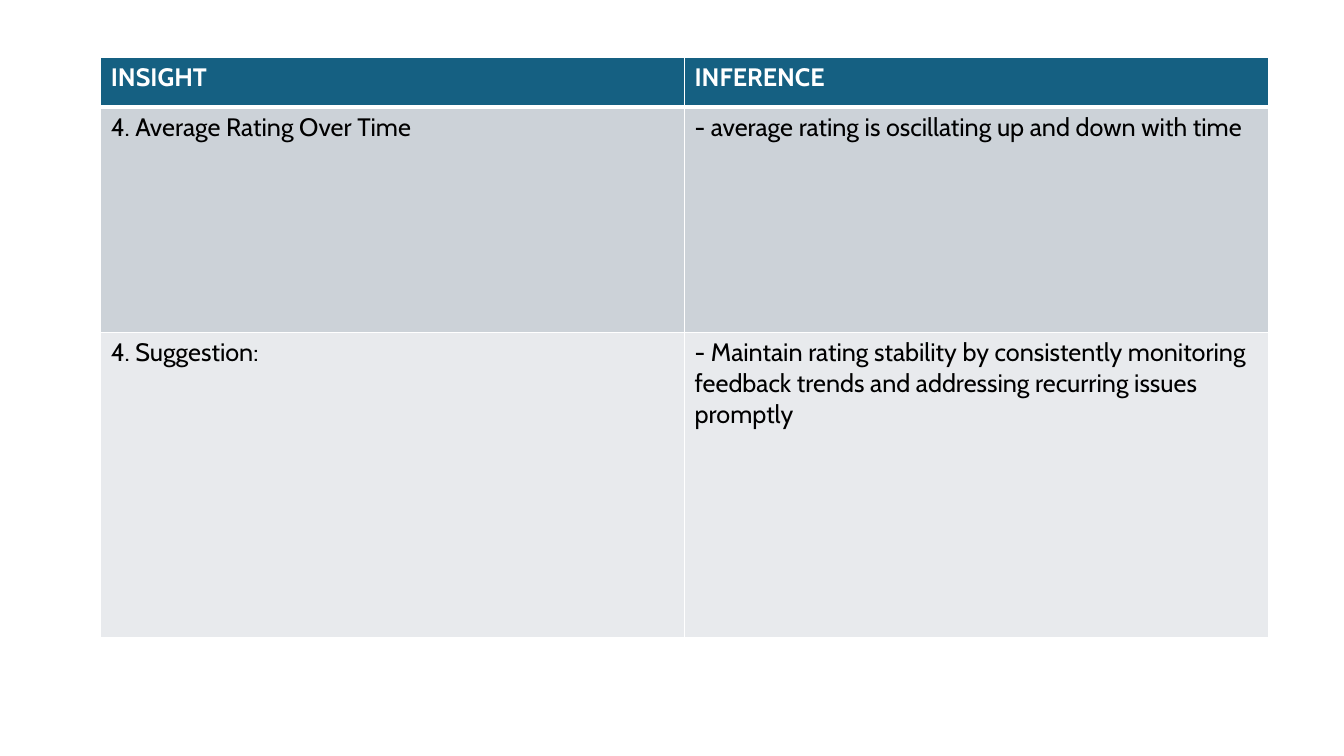
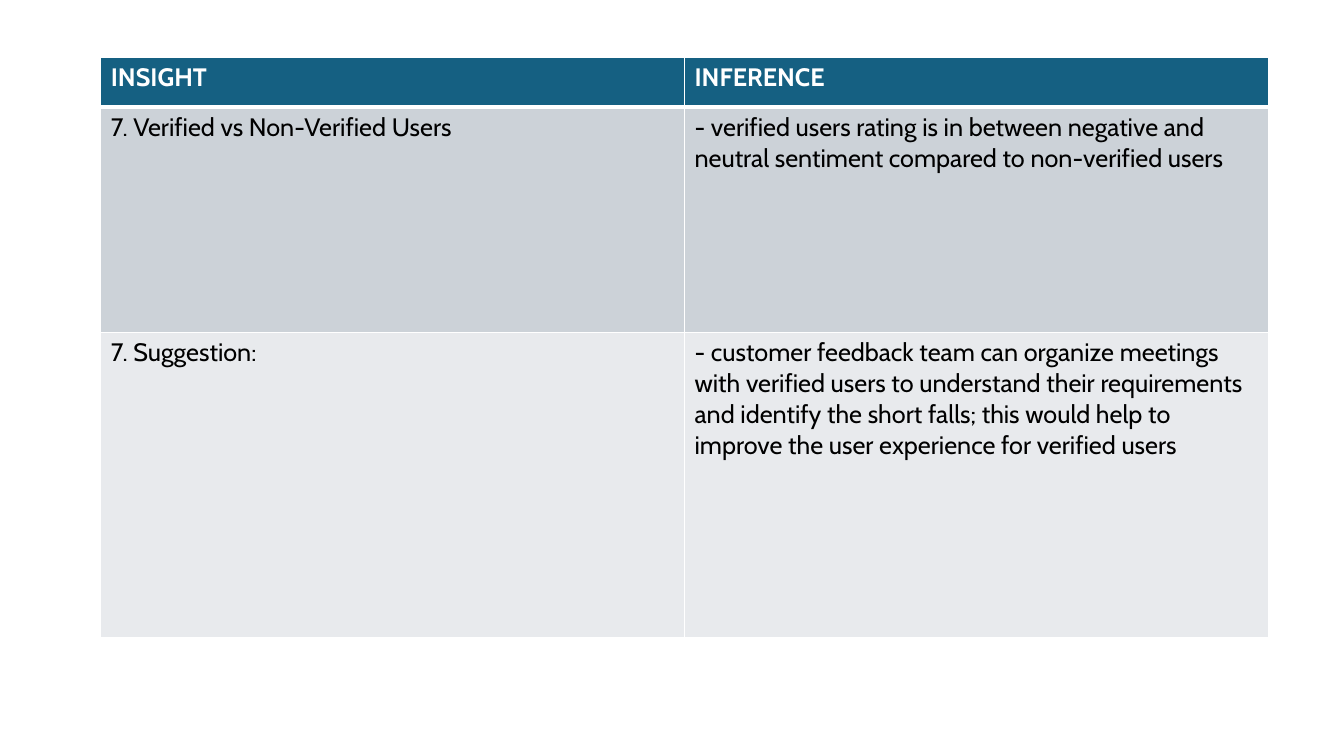
"""Build two insight tables with a shared style."""
from dataclasses import dataclass

import pptx
import pptx.dml.color
import pptx.oxml
import pptx.oxml.ns
import pptx.slide
import pptx.table
import pptx.util

Pt = pptx.util.Pt


@dataclass(frozen=True)
class Theme:
    font: str = "Cabin"
    size: float = 18
    white: str = "FFFFFF"
    black: str = "000000"
    head: str = "156082"
    dark: str = "CCD2D8"
    light: str = "E8EAED"
    thin: float = 1
    thick: float = 3


@dataclass(frozen=True)
class Row:
    height: float
    fill: str
    color: str
    top: float
    base: float
    bold: bool = False


@dataclass(frozen=True)
class Page:
    topic: str
    finding: str
    label: str
    advice: str


THEME = Theme()
LEFT, TOP, WIDTH = 72, 41, 417
HEADS = ("INSIGHT", "INFERENCE")
ROWS = (
    Row(35.5, THEME.head, THEME.white, THEME.thin, THEME.thick, True),
    Row(161, THEME.dark, THEME.black, THEME.thick, THEME.thin),
    Row(218, THEME.light, THEME.black, THEME.thin, THEME.thin),
)
PAGES = (
    Page(
        "4. Average Rating Over Time",
        "- average rating is oscillating up and down with time",
        "4. Suggestion:",
        "- Maintain rating stability by consistently monitoring feedback "
        "trends and addressing recurring issues promptly",
    ),
    Page(
        "7. Verified vs Non-Verified Users",
        "- verified users rating is in between negative and neutral "
        "sentiment compared to non-verified users",
        "7. Suggestion:",
        "- customer feedback team can organize meetings with verified users "
        "to understand their requirements and identify the short falls; this "
        "would help to improve the user experience for verified users",
    ),
)


def paint(code: str) -> pptx.dml.color.RGBColor:
    return pptx.dml.color.RGBColor.from_string(code)


def write(cell: pptx.table._Cell, text: str, *, color: str, bold: bool) -> None:
    run = cell.text_frame.paragraphs[0].add_run()
    run.text = text
    font = run.font
    font.name, font.size, font.bold = THEME.font, Pt(THEME.size), bold
    font.color.rgb = paint(color)


def border(cell: pptx.table._Cell, row: Row) -> None:
    sides = {"L": THEME.thin, "R": THEME.thin, "T": row.top, "B": row.base}
    props = cell._tc.get_or_add_tcPr()
    for spot, (side, size) in enumerate(sides.items()):
        line = pptx.oxml.parse_xml(
            f'<a:ln{side} {pptx.oxml.ns.nsdecls("a")} w="{Pt(size)}">'
            f'<a:solidFill><a:srgbClr val="{THEME.white}"/></a:solidFill>'
            f"</a:ln{side}>"
        )
        props.insert(spot, line)


def draw(slide: pptx.slide.Slide, page: Page) -> None:
    texts = (HEADS, (page.topic, page.finding), (page.label, page.advice))
    height = sum(row.height for row in ROWS)
    table = slide.shapes.add_table(
        len(ROWS), len(HEADS), Pt(LEFT), Pt(TOP),
        Pt(WIDTH * len(HEADS)), Pt(height),
    ).table
    table.first_row = table.horz_banding = False
    for col in table.columns:
        col.width = Pt(WIDTH)
    for band, row, words in zip(table.rows, ROWS, texts):
        band.height = Pt(row.height)
        for cell, text in zip(band.cells, words):
            cell.fill.solid()
            cell.fill.fore_color.rgb = paint(row.fill)
            border(cell, row)
            write(cell, text, color=row.color, bold=row.bold)


def main() -> None:
    deck = pptx.Presentation()
    deck.slide_width, deck.slide_height = Pt(960), Pt(540)
    for page in PAGES:
        draw(deck.slides.add_slide(deck.slide_layouts[6]), page)
    deck.save("out.pptx")


if __name__ == "__main__":
    main()
